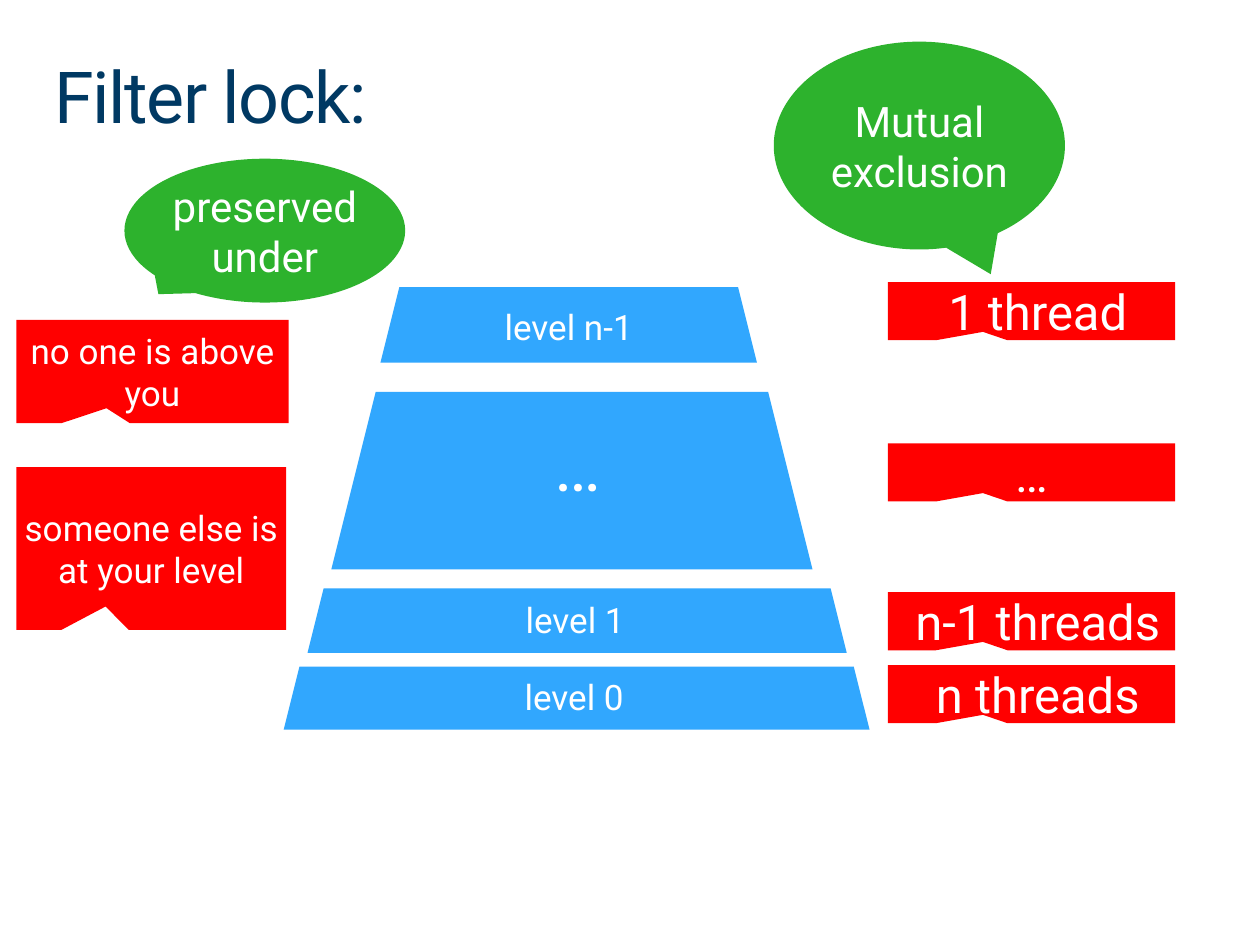
"""Build the filter lock slide: stacked lock levels with thread-count callouts."""
from dataclasses import dataclass
from typing import Any

from pptx import Presentation
from pptx import util as u
from pptx.dml import color
from pptx.enum import shapes, text

KIND = shapes.MSO_SHAPE


def paint(hex_string):
    return color.RGBColor.from_string(hex_string)


@dataclass
class Board:
    page: Any
    face: str = "Roboto"
    ink: str = "FFFFFF"
    heading: str = "003963"
    level_fill: str = "31A7FE"
    count_fill: str = "FF0000"
    bubble_fill: str = "2DB22D"
    inset: float = 0.13

    def wording(self, frame, words, size, ink, align):
        para = frame.paragraphs[0]
        para.alignment = align
        span = para.add_run()
        span.text = words
        para.font.name = self.face
        para.font.size = u.Pt(size)
        para.font.color.rgb = paint(ink)
        return para

    def shape(self, kind, place, fill, words="", size=20, indent=0):
        box = self.page.shapes.add_shape(kind, *map(u.Cm, place))
        box.shadow.inherit = False
        box.fill.solid()
        box.fill.fore_color.rgb = paint(fill)
        box.line.fill.background()
        frame = box.text_frame
        frame.word_wrap = True
        frame.vertical_anchor = text.MSO_ANCHOR.MIDDLE
        frame.margin_right = frame.margin_top = frame.margin_bottom = u.Cm(self.inset)
        frame.margin_left = u.Cm(self.inset + indent)
        if words:
            self.wording(frame, words, size, self.ink, text.PP_ALIGN.CENTER)
        return box

    def level(self, place, words=""):
        self.shape(KIND.TRAPEZOID, place, self.level_fill, words)

    def callout(self, kind, place, fill, tip, words, size, indent=0):
        box = self.shape(kind, place, fill, words, size, indent)
        box.adjustments[0], box.adjustments[1] = tip

    def note(self, place, words, size=20, indent=0):
        self.callout(KIND.RECTANGULAR_CALLOUT, place, self.count_fill,
                     (-0.169, 0.356), words, size, indent)

    def bubble(self, place, tip, words):
        self.callout(KIND.OVAL_CALLOUT, place, self.bubble_fill, tip, words, 24)

    def label(self, place, words, size=20):
        frame = self.page.shapes.add_textbox(*map(u.Cm, place)).text_frame
        frame.word_wrap = False
        frame.auto_size = text.MSO_AUTO_SIZE.SHAPE_TO_FIT_TEXT
        self.wording(frame, words, size, self.ink, text.PP_ALIGN.CENTER)

    def title(self, place, words):
        frame = self.page.shapes.add_textbox(*map(u.Cm, place)).text_frame
        frame.word_wrap = True
        frame.auto_size = text.MSO_AUTO_SIZE.SHAPE_TO_FIT_TEXT
        frame.margin_left = frame.margin_right = 0
        frame.margin_top = frame.margin_bottom = 0
        para = self.wording(frame, words, 41, self.heading, text.PP_ALIGN.LEFT)
        para.line_spacing = 0.9
        para.runs[0]._r.get_or_add_rPr().set("spc", "-80")


def main():
    deck = Presentation()
    deck.slide_width, deck.slide_height = u.Cm(25.4), u.Cm(19.05)
    board = Board(deck.slides.add_slide(deck.slide_layouts[6]))

    board.title((1.09, 1.24, 23.24, 1.6), "Filter lock:")

    board.level((5.72, 13.44, 11.81, 1.27))
    board.level((6.2, 11.86, 10.87, 1.3))
    board.level((6.68, 7.9, 9.7, 3.58))
    board.level((7.67, 5.79, 7.59, 1.52), "level n-1")
    board.label((10.29, 13.49, 2.57, 1.12), "level 0")
    board.label((10.31, 11.94, 2.57, 1.12), "level 1")
    board.label((10.69, 8.38, 1.93, 1.96), "…", 40)

    for top, words, indent in (
        (13.41, "n threads", 0.25),
        (11.94, "n-1 threads", 0.25),
        (8.94, "…", 0),
        (5.69, "1 thread", 0.25),
    ):
        board.note((17.9, top, 5.79, 1.17), words, 28, indent)

    board.bubble((15.6, 0.84, 5.87, 4.19), (0.245, 0.619), "Mutual exclusion")
    board.note((0.33, 6.45, 5.49, 2.08), "no one is above you")
    board.note((0.33, 9.42, 5.44, 3.28), "someone else is at your level")
    board.bubble((2.51, 3.2, 5.66, 2.9), (-0.379, 0.442), "preserved under")

    deck.save("out.pptx")


if __name__ == "__main__":
    main()
